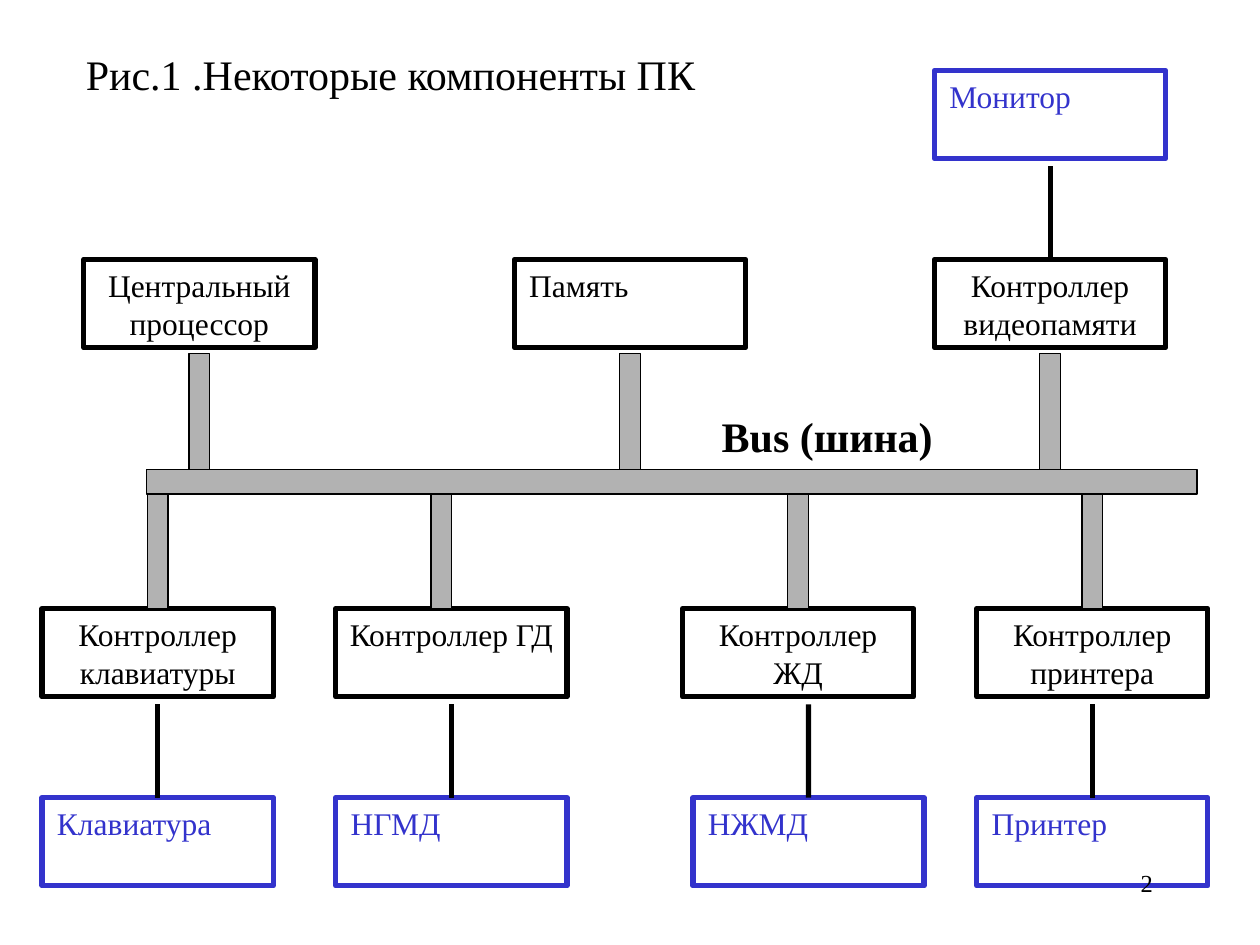
from dataclasses import dataclass

from lxml.etree import SubElement
from pptx import Presentation
from pptx.dml.color import RGBColor
from pptx.enum.shapes import MSO_CONNECTOR, MSO_SHAPE
from pptx.enum.text import MSO_ANCHOR, PP_ALIGN
from pptx.oxml.ns import qn
from pptx.util import Cm, Pt


@dataclass(frozen=True)
class Theme:
    font: str = "Times New Roman"
    black: RGBColor = RGBColor(0x00, 0x00, 0x00)
    blue: RGBColor = RGBColor(0x33, 0x33, 0xCC)
    grey: RGBColor = RGBColor(0xB2, 0xB2, 0xB2)
    heading_size: float = 24
    label_size: float = 18
    number_size: float = 14
    thick: float = 3
    thin: float = 0.75


@dataclass(frozen=True)
class Box:
    """A rectangle in centimetres."""
    left: float
    top: float
    width: float
    height: float

    @property
    def middle(self):
        return self.left + self.width / 2

    @property
    def bottom(self):
        return self.top + self.height

    def lengths(self):
        return [Cm(v) for v in (self.left, self.top, self.width, self.height)]


THEME = Theme()
BLOCK_WIDTH, BLOCK_HEIGHT = 4.66, 1.78
STUB_WIDTH = 0.42
STUB_GAP = 0.12
WIRE_GAP = 0.15


def write_text(shape, text, size=THEME.label_size, color=THEME.black, bold=False,
               align=PP_ALIGN.LEFT, side_margin=0.25):
    frame = shape.text_frame
    frame.word_wrap = True
    frame.vertical_anchor = MSO_ANCHOR.TOP
    frame.margin_left = frame.margin_right = Cm(side_margin)
    frame.margin_top = frame.margin_bottom = Cm(0.13)
    paragraph = frame.paragraphs[0]
    paragraph.text = text
    paragraph.alignment = align
    paragraph.font.name = THEME.font
    paragraph.font.size = Pt(size)
    paragraph.font.bold = bold
    paragraph.font.color.rgb = color


def add_label(slide, box, text, **text_format):
    write_text(slide.shapes.add_textbox(*box.lengths()), text, **text_format)


def add_rectangle(slide, box, line_color, line_width, fill=None):
    shape = slide.shapes.add_shape(MSO_SHAPE.RECTANGLE, *box.lengths())
    shape.shadow.inherit = False
    if fill is None:
        shape.fill.background()
    else:
        shape.fill.solid()
        shape.fill.fore_color.rgb = fill
    shape.line.color.rgb = line_color
    shape.line.width = Pt(line_width)
    return shape


def add_block(slide, left, top, text, color=THEME.black, align=PP_ALIGN.CENTER):
    box = Box(left, top, BLOCK_WIDTH, BLOCK_HEIGHT)
    shape = add_rectangle(slide, box, color, THEME.thick)
    margin = 0.3 if align == PP_ALIGN.LEFT else 0.25
    write_text(shape, text, color=color, align=align, side_margin=margin)
    return shape, box


def add_device(slide, left, top, text):
    return add_block(slide, left, top, text, THEME.blue, PP_ALIGN.LEFT)


def add_bus_bar(slide, box):
    add_rectangle(slide, box, THEME.black, THEME.thin, THEME.grey)


def add_stub(slide, middle, top, bottom):
    add_bus_bar(slide, Box(middle - STUB_WIDTH / 2, top, STUB_WIDTH, bottom - top))


def add_wire(slide, upper_box, lower_shape, lower_box):
    """Run a wire from just below the upper block to the top of the lower one."""
    x = Cm(lower_box.middle)
    wire = slide.shapes.add_connector(MSO_CONNECTOR.STRAIGHT, x,
                                      Cm(upper_box.bottom + WIRE_GAP), x, Cm(lower_box.top))
    wire.end_connect(lower_shape, 0)
    wire.line.color.rgb = THEME.black
    wire.line.width = Pt(THEME.thick)
    SubElement(wire._element.spPr, qn("a:effectLst"))


def add_bus(slide, box):
    add_bus_bar(slide, box)
    add_label(slide, Box(box.left + 11.34, box.top - 1.32, 5.56, 1.27), "Bus (шина)",
              size=THEME.heading_size, bold=True)


def add_core_modules(slide, area):
    """Place the modules above the bus, and the monitor over the last one."""
    modules = [
        (0, "Центральный процессор", PP_ALIGN.CENTER),
        (8.68, "Память", PP_ALIGN.LEFT),
        (17.15, "Контроллер видеопамяти", PP_ALIGN.CENTER),
    ]
    for offset, text, align in modules:
        shape, box = add_block(slide, area.left + offset, area.top + 3.81, text, align=align)
        add_stub(slide, box.middle, box.bottom + STUB_GAP, area.bottom)
    _, monitor_box = add_device(slide, box.left, area.top, "Монитор")
    add_wire(slide, monitor_box, shape, box)


def add_peripherals(slide, area):
    """Place the controllers below the bus, each with its device underneath."""
    # controller offset, controller, stub shift, device offset, device
    peripherals = [
        (0, "Контроллер клавиатуры", 0, 0, "Клавиатура"),
        (5.92, "Контроллер ГД", -0.2, 5.92, "НГМД"),
        (12.91, "Контроллер ЖД", 0, 13.12, "НЖМД"),
        (18.84, "Контроллер принтера", 0, 18.84, "Принтер"),
    ]
    for offset, controller, shift, device_offset, device in peripherals:
        _, controller_box = add_block(slide, area.left + offset, area.top + 2.31, controller)
        add_stub(slide, controller_box.middle + shift, area.top, controller_box.top)
        device_shape, device_box = add_device(slide, area.left + device_offset,
                                              area.bottom - BLOCK_HEIGHT, device)
        add_wire(slide, controller_box, device_shape, device_box)


def main():
    presentation = Presentation()
    presentation.slide_width, presentation.slide_height = Cm(25.4), Cm(19.05)
    slide = presentation.slides.add_slide(presentation.slide_layouts[6])

    bus = Box(2.96, 9.46, 21.17, 0.5)
    add_label(slide, Box(1.48, 0.85, 15.03, 1.27), "Рис.1 .Некоторые компоненты ПК",
              size=THEME.heading_size)
    add_bus(slide, bus)
    add_core_modules(slide, Box(1.69, 1.42, 21.81, bus.top - 1.42))
    add_peripherals(slide, Box(0.85, bus.bottom, 23.5, 7.9))
    add_label(slide, Box(18.2, 17.36, 5.29, 1.27), "2",
              size=THEME.number_size, align=PP_ALIGN.RIGHT)
    presentation.save("out.pptx")


if __name__ == "__main__":
    main()
